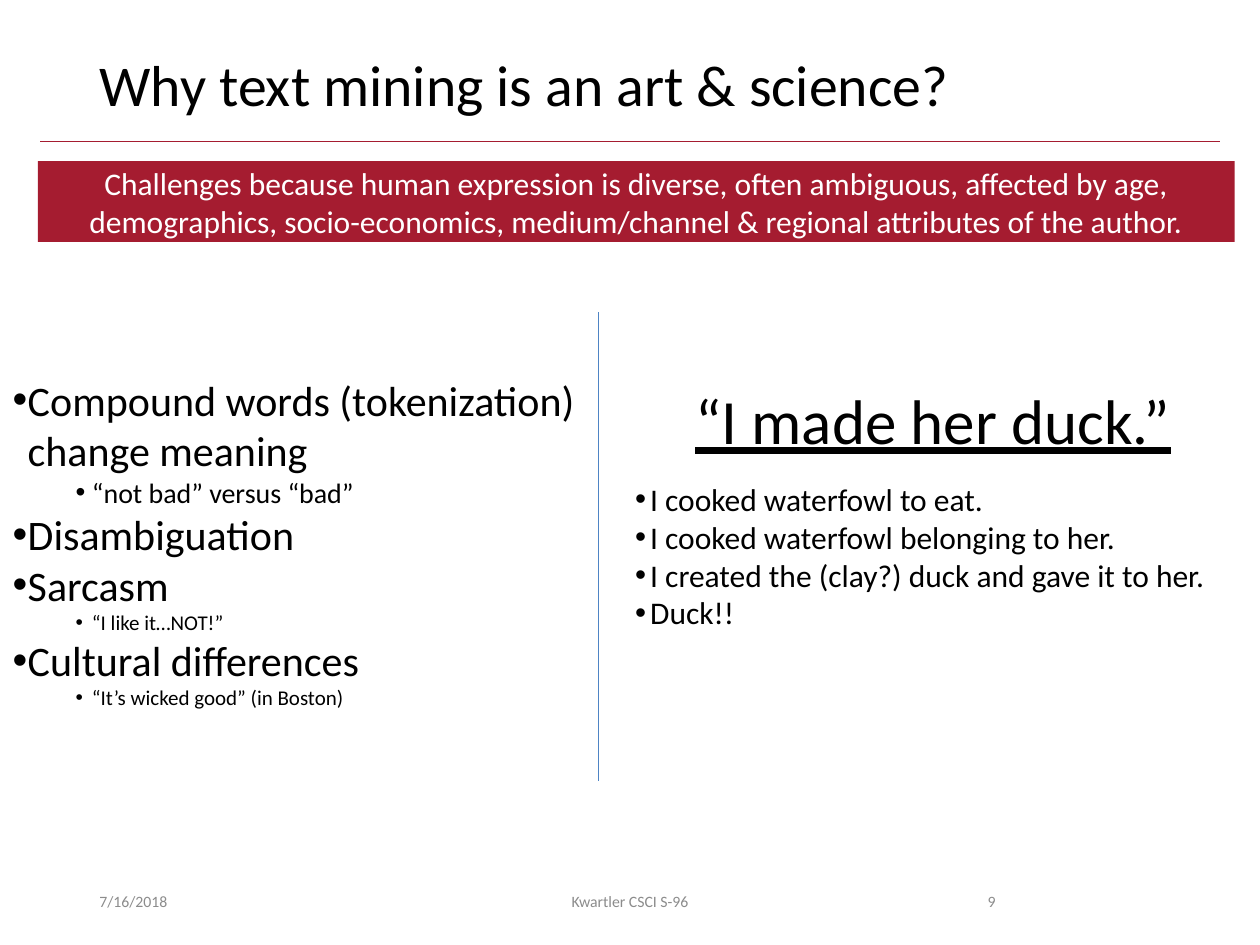
import pptx
import pptx.dml.color
import pptx.enum.shapes
import pptx.enum.text
import pptx.oxml.ns
import pptx.util
from lxml import etree

RGBColor = pptx.dml.color.RGBColor
CRIMSON = RGBColor(0xA5, 0x1C, 0x30)
BLUE = RGBColor(0x4E, 0x84, 0xC4)
GRAY = RGBColor(0x8C, 0x8C, 0x8C)
BLACK = RGBColor(0, 0, 0)
WHITE = RGBColor(0xFF, 0xFF, 0xFF)

ALIGN = pptx.enum.text.PP_ALIGN
ANCHOR = pptx.enum.text.MSO_ANCHOR
COLUMNS, ROWS = 100, 75
TITLE_AND_TWO_LISTS = 3

CHALLENGES = [
    (0, "Compound words (tokenization) change meaning", 24),
    (1, "“not bad” versus “bad”", 16),
    (0, "Disambiguation", 24),
    (0, "Sarcasm", 24),
    (1, "“I like it…NOT!”", 12),
    (0, "Cultural differences", 24),
    (1, "“It’s wicked good” (in Boston)", 12),
]
READINGS = [
    (0, "I cooked waterfowl to eat.", 18),
    (0, "I cooked waterfowl belonging to her.", 18),
    (0, "I created the (clay?) duck and gave it to her.", 18),
    (0, "Duck!!", 18),
]
FOOTERS = [
    ("7/16/2018", (6.9, 69.5, 22.5, 4), ALIGN.LEFT),
    ("Kwartler CSCI S-96", (33.1, 69.5, 33.8, 4), ALIGN.CENTER),
    ("9", (70.6, 69.5, 9.4, 4), ALIGN.RIGHT),
]


def write(paragraph, text, size=18, color=BLACK, align=ALIGN.LEFT,
          underline=None, spacing=None, font="Calibri"):
    paragraph.alignment = align
    paragraph.space_before = pptx.util.Pt(0)
    if spacing:
        paragraph.line_spacing = spacing
    run = paragraph.add_run()
    run.text = text
    run.font.name = font
    run.font.size = pptx.util.Pt(size)
    run.font.color.rgb = color
    run.font.underline = underline


def add_bullet(paragraph, level):
    paragraph.level = level
    properties = paragraph._p.get_or_add_pPr()
    properties.set("marL", str(pptx.util.Inches((0.12, 0.63)[level])))
    properties.set("indent", str(pptx.util.Inches((-0.12, -0.13)[level])))
    bullet = etree.SubElement(properties, pptx.oxml.ns.qn("a:buChar"))
    bullet.set("char", "•")


class SlideBuilder:
    """Holds the slide and its grid; boxes are (column, row, columns, rows)."""

    def __init__(self, presentation):
        self.column = presentation.slide_width / COLUMNS
        self.row = presentation.slide_height / ROWS
        layout = presentation.slide_layouts[TITLE_AND_TWO_LISTS]
        self.slide = presentation.slides.add_slide(layout)

    def to_lengths(self, *cells):
        units = (self.column, self.row) * 2
        return [round(cell * unit) for cell, unit in zip(cells, units)]

    def fill_frame(self, shape, anchor):
        frame = shape.text_frame
        frame.word_wrap = True
        frame.auto_size = pptx.enum.text.MSO_AUTO_SIZE.NONE
        frame.vertical_anchor = anchor
        return frame

    def placeholder(self, index, box):
        shape = self.slide.placeholders[index]
        shape.left, shape.top, shape.width, shape.height = self.to_lengths(*box)
        return self.fill_frame(shape, ANCHOR.TOP)

    def title(self, text, box):
        frame = self.placeholder(0, box)
        write(frame.paragraphs[0], text, size=33, spacing=0.9)

    def bullets(self, index, items, box):
        frame = self.placeholder(index, box)
        for number, (level, text, size) in enumerate(items):
            paragraph = frame.add_paragraph() if number else frame.paragraphs[0]
            add_bullet(paragraph, level)
            write(paragraph, text, size=size)

    def text(self, text, box, **style):
        shape = self.slide.shapes.add_textbox(*self.to_lengths(*box))
        frame = self.fill_frame(shape, ANCHOR.MIDDLE)
        write(frame.paragraphs[0], text, **style)

    def banner(self, text, box):
        shape = self.slide.shapes.add_shape(
            pptx.enum.shapes.MSO_SHAPE.RECTANGLE, *self.to_lengths(*box))
        shape.shadow.inherit = False
        shape.fill.solid()
        shape.fill.fore_color.rgb = CRIMSON
        shape.line.fill.background()
        frame = self.fill_frame(shape, ANCHOR.MIDDLE)
        write(frame.paragraphs[0], text, color=WHITE, align=ALIGN.CENTER)

    def line(self, start, end, color):
        connector = self.slide.shapes.add_connector(
            pptx.enum.shapes.MSO_CONNECTOR.STRAIGHT,
            *self.to_lengths(*start, *end))
        connector.line.color.rgb = color
        connector.line.width = pptx.util.Pt(0.5)
        etree.SubElement(connector._element.spPr,
                         pptx.oxml.ns.qn("a:effectLst"))


def main():
    presentation = pptx.Presentation()
    presentation.slide_width = pptx.util.Inches(10)
    presentation.slide_height = pptx.util.Inches(7.5)

    builder = SlideBuilder(presentation)
    builder.line((3.2, 11.2), (96.8, 11.2), CRIMSON)
    builder.title("Why text mining is an art & science?", (6.9, 4, 86.2, 6.5))
    builder.banner(
        "Challenges because human expression is diverse, often ambiguous, "
        "affected by age, demographics, socio-economics, medium/channel & "
        "regional attributes of the author.", (3, 12.8, 95, 6.4))
    builder.bullets(1, CHALLENGES, (0, 29.2, 47.2, 27.9))
    builder.bullets(2, READINGS, (49.4, 37.6, 49.3, 13.1))
    builder.text("“I made her duck.”", (51.6, 27, 44.9, 12.5),
                 size=36, align=ALIGN.CENTER, underline=True)
    builder.line((47.5, 24.8), (47.5, 62), BLUE)
    for text, box, align in FOOTERS:
        builder.text(text, box, size=9, color=GRAY, align=align)
    presentation.save("out.pptx")


if __name__ == "__main__":
    main()
